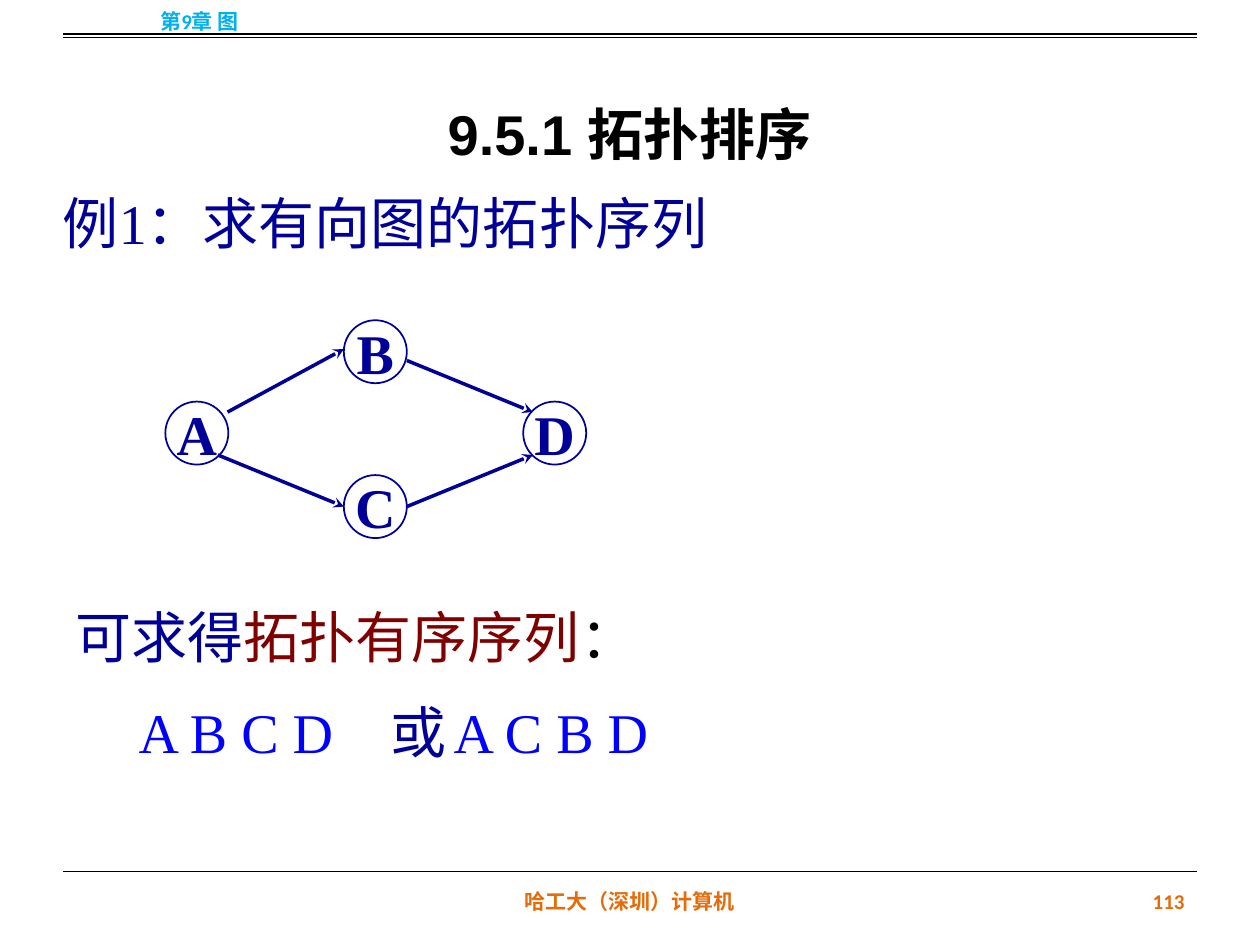
from typing import NamedTuple

from lxml.etree import SubElement
from pptx import Presentation
from pptx.dml.color import RGBColor
from pptx.enum.shapes import MSO_CONNECTOR, MSO_SHAPE
from pptx.enum.text import MSO_ANCHOR, MSO_AUTO_SIZE, PP_ALIGN
from pptx.oxml.ns import qn
from pptx.util import Pt

NAVY, BLUE, MAROON, BLACK = "000099", "0000FF", "800000", "000000"
ORANGE, CYAN = "E46C0A", "00B0F0"
SERIF = "Times New Roman"
NODE_SIZE = 36


class Node(NamedTuple):
    label: str
    left: float
    top: float


class Edge(NamedTuple):
    x1: float
    y1: float
    x2: float
    y2: float


class Label(NamedTuple):
    text: str
    box: tuple
    color: str
    align: PP_ALIGN


NODES = [Node("B", 196.5, 183), Node("D", 299, 229.5),
         Node("A", 94.5, 229.5), Node("C", 196.5, 271.5)]
EDGES = [Edge(130, 235.5, 196.5, 199.5), Edge(124.5, 260, 196.5, 289.5),
         Edge(232.5, 206, 304.5, 235.5), Edge(232.5, 289.5, 304.5, 260)]
LABELS = [Label("哈工大（深圳）计算机", (246, 500.5, 228, 28.8), ORANGE, PP_ALIGN.CENTER),
          Label("113", (516, 500.5, 168, 28.8), ORANGE, PP_ALIGN.RIGHT),
          Label("第9章 图", (0, -2.2, 228, 28.8), CYAN, PP_ALIGN.CENTER)]
RULE_HEIGHTS = (19.4, 21.6, 498.2)


def rgb(color: str) -> RGBColor:
    return RGBColor.from_string(color)


def style(font, name: str, size: float, color: str, bold: bool = False) -> None:
    font.name, font.size, font.bold = name, Pt(size), bold
    font.color.rgb = rgb(color)


def place(sp, left: float, top: float, width: float, height: float) -> None:
    sp.left, sp.top, sp.width, sp.height = map(Pt, (left, top, width, height))


def add_text(slide, label: Label, font: str = "Calibri", size: float = 12,
             bold: bool = True, anchor=MSO_ANCHOR.MIDDLE) -> None:
    tf = slide.shapes.add_textbox(*map(Pt, label.box)).text_frame
    tf.word_wrap, tf.vertical_anchor = True, anchor
    tf.text = label.text
    p = tf.paragraphs[0]
    p.alignment = label.align
    style(p.runs[0].font, font, size, label.color, bold)


def add_line(slide, edge: Edge, color: str, width: float, arrow: bool = False) -> None:
    line = slide.shapes.add_connector(MSO_CONNECTOR.STRAIGHT, *map(Pt, edge))
    line.line.color.rgb, line.line.width = rgb(color), Pt(width)
    if arrow:
        SubElement(line.line._get_or_add_ln(), qn("a:tailEnd"), type="stealth")
    SubElement(line._element.spPr, qn("a:effectLst"))


def add_node(slide, node: Node) -> None:
    sp = slide.shapes.add_shape(MSO_SHAPE.OVAL, Pt(node.left), Pt(node.top),
                                Pt(NODE_SIZE), Pt(NODE_SIZE))
    sp.shadow.inherit = False
    sp.fill.background()
    sp.line.color.rgb, sp.line.width = rgb(NAVY), Pt(1)
    tf = sp.text_frame
    tf.word_wrap, tf.vertical_anchor = False, MSO_ANCHOR.MIDDLE
    tf.text = node.label
    p = tf.paragraphs[0]
    p.alignment = PP_ALIGN.CENTER
    style(p.runs[0].font, SERIF, 32, NAVY, True)


def fill_paragraph(p, parts: list, space_before: float, tabs: tuple = ()) -> None:
    p.space_before = Pt(space_before)
    pPr = p._p.get_or_add_pPr()
    pPr.set("marL", "0")
    pPr.set("indent", "0")
    SubElement(pPr, qn("a:buNone"))
    if tabs:
        tab_list = SubElement(pPr, qn("a:tabLst"))
        for pos in tabs:
            SubElement(tab_list, qn("a:tab"), pos=str(Pt(pos)), algn="l")
    for text, color in parts:
        r = p.add_run()
        r.text = text
        style(r.font, SERIF, 32, color)


def main() -> None:
    prs = Presentation()
    prs.slide_width, prs.slide_height = Pt(720), Pt(540)
    slide = prs.slides.add_slide(prs.slide_layouts[1])

    # Title
    title = slide.shapes.title
    place(title, 36, 21.6, 648, 90)
    tf = title.text_frame
    tf.text = "9.5.1 拓扑排序"
    tf.vertical_anchor, tf.auto_size = MSO_ANCHOR.MIDDLE, MSO_AUTO_SIZE.NONE
    p = tf.paragraphs[0]
    p.alignment, p.line_spacing, p.space_after = PP_ALIGN.CENTER, 1.5, Pt(1.6)
    style(p.runs[0].font, "Arial", 32, BLACK, True)

    # Header, footer and rules
    for label in LABELS:
        add_text(slide, label)
    for y in RULE_HEIGHTS:
        add_line(slide, Edge(36, y, 684, y), BLACK, 0.75)

    # Example and its directed graph
    example = Label("例1：求有向图的拓扑序列", (28.8, 104.4, 386, 46), NAVY, PP_ALIGN.LEFT)
    add_text(slide, example, SERIF, 32, False, MSO_ANCHOR.TOP)
    for node in NODES:
        add_node(slide, node)
    for edge in EDGES:
        add_line(slide, edge, NAVY, 2, arrow=True)

    # Resulting orders
    body = slide.placeholders[1]
    place(body, 36, 340.5, 648, 103)
    tf = body.text_frame
    tf.auto_size, tf.vertical_anchor = MSO_AUTO_SIZE.NONE, MSO_ANCHOR.TOP
    fill_paragraph(tf.paragraphs[0],
                   [("可求得", NAVY), ("拓扑有序序列", MAROON), ("：", BLACK)], 0)
    fill_paragraph(tf.add_paragraph(),
                   [("\tA B C D", BLUE), ("\t或", NAVY), ("\tA C B D", BLUE)],
                   16, tabs=(64, 215, 283.5))

    prs.save("out.pptx")


if __name__ == "__main__":
    main()
